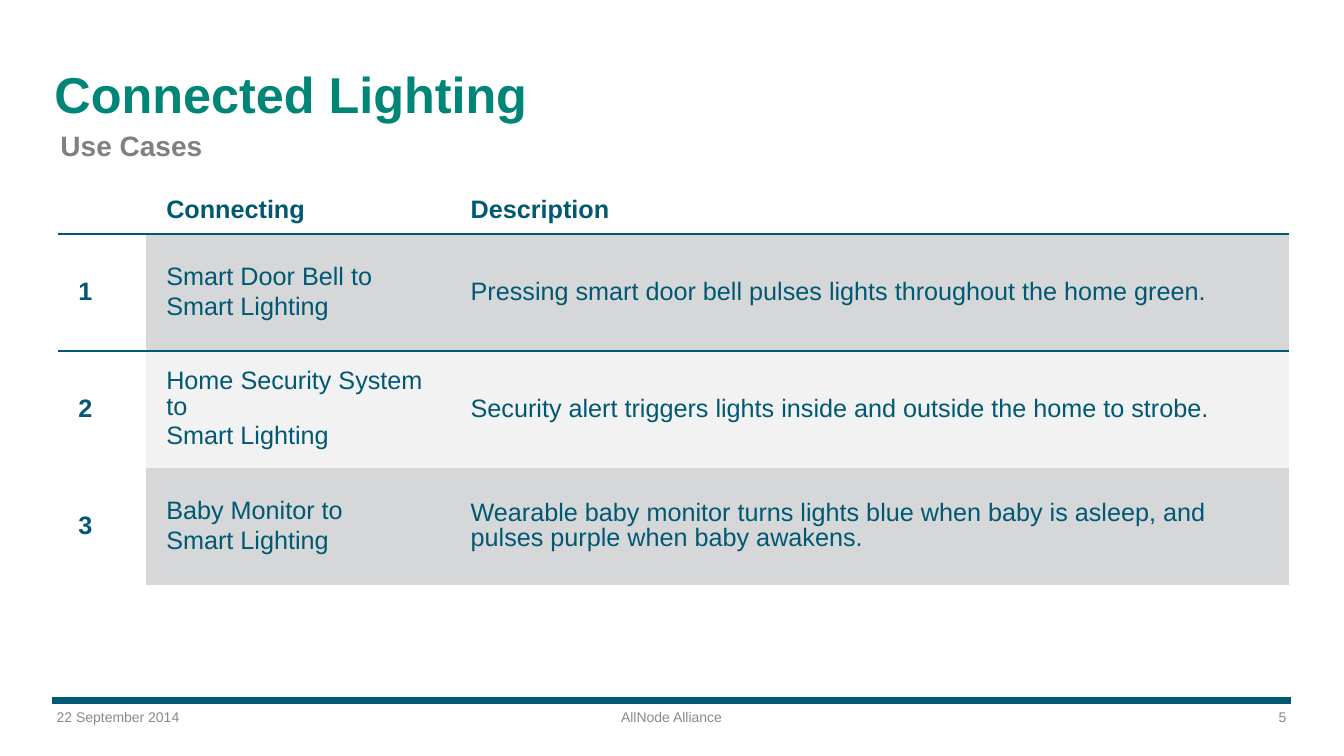
from lxml.etree import SubElement
from pptx import Presentation
from pptx.dml.color import RGBColor as RGB
from pptx.enum.shapes import MSO_CONNECTOR as Connector
from pptx.enum.text import MSO_ANCHOR as Anchor, PP_ALIGN as Align
from pptx.oxml import parse_xml
from pptx.oxml.ns import nsdecls, qn
from pptx.util import Pt

GREEN = RGB(0x00, 0x85, 0x76)
NAVY = RGB(0x00, 0x58, 0x72)
GREY = RGB(0x80, 0x7F, 0x83)
FOOTER_GREY = RGB(0x89, 0x89, 0x89)
DARK_BAND = RGB(0xD6, 0xD7, 0xD8)
LIGHT_BAND = RGB(0xF2, 0xF2, 0xF2)
PLAIN_TABLE = "{2D5ABB26-0587-4C30-8999-92F81FD0307C}"

HEADINGS = ["", "Connecting", "Description"]
USE_CASES = [
    ["1", "Smart Door Bell to\nSmart Lighting",
     "Pressing smart door bell pulses lights throughout the home green."],
    ["2", "Home Security System to\nSmart Lighting",
     "Security alert triggers lights inside and outside the home to strobe."],
    ["3", "Baby Monitor to\nSmart Lighting",
     "Wearable baby monitor turns lights blue when baby is asleep, "
     "and pulses purple when baby awakens."],
]


def apply(target, formats):
    for name, value in formats.items():
        setattr(target, name, value)


def write(frame, wording, size, color, bold=False, **paragraph_format):
    frame.text = wording
    for paragraph in frame.paragraphs:
        apply(paragraph, paragraph_format)
        apply(paragraph.font, {"name": "Arial", "size": Pt(size), "bold": bold})
        paragraph.font.color.rgb = color


def add_label(slide, box, wording, size, color, bold=False,
              anchor=Anchor.TOP, **paragraph_format):
    frame = slide.shapes.add_textbox(*map(Pt, box)).text_frame
    margins = {f"margin_{side}": Pt(3.6) for side in ("left", "top", "right", "bottom")}
    apply(frame, {"word_wrap": True, "vertical_anchor": anchor, **margins})
    write(frame, wording, size, color, bold, **paragraph_format)


def add_heading(slide, left, top, width):
    add_label(slide, (left, top, width, 79.2), "Connected Lighting", 36, GREEN,
              True, Anchor.BOTTOM, line_spacing=0.95)
    add_label(slide, (left + 4.3, top + 74.9, width, 31.7), "Use Cases", 20, GREY, True)


def rule_below(cell):
    cell._tc.get_or_add_tcPr().insert(0, parse_xml(
        f'<a:lnB {nsdecls("a")} w="{Pt(2.25)}"><a:solidFill>'
        f'<a:srgbClr val="{NAVY}"/></a:solidFill></a:lnB>'))


def add_use_cases(slide, left, top, width):
    column_widths = [62.8, 217.4, width - 62.8 - 217.4]
    row_heights = [62] + [83.6] * len(USE_CASES)
    table = slide.shapes.add_table(
        len(row_heights), len(column_widths),
        *map(Pt, (left, top, width, sum(row_heights)))).table
    apply(table, {"first_row": False, "horz_banding": False})
    table._tbl.tblPr.find(qn("a:tableStyleId")).text = PLAIN_TABLE
    for column, column_width in zip(table.columns, column_widths):
        column.width = Pt(column_width)
    for row, row_height in zip(table.rows, row_heights):
        row.height = Pt(row_height)

    for r, wordings in enumerate([HEADINGS] + USE_CASES):
        is_header = r == 0
        spacing = ({"line_spacing": 0.95} if is_header
                   else {"line_spacing": 0.9, "space_after": Pt(3)})
        for c, wording in enumerate(wordings):
            cell = table.cell(r, c)
            apply(cell, {
                "margin_left": Pt(14.4), "margin_right": Pt(14.4),
                "margin_top": Pt(7.2), "margin_bottom": Pt(7.2),
                "vertical_anchor": Anchor.BOTTOM if is_header else Anchor.MIDDLE})
            write(cell.text_frame, wording, 18, NAVY, is_header or c == 0, **spacing)
            if is_header or c == 0:
                cell.fill.background()
            else:
                cell.fill.solid()
                cell.fill.fore_color.rgb = DARK_BAND if r % 2 else LIGHT_BAND
            if r < 2:
                rule_below(cell)


def add_footer(slide, left, top, width):
    bar = slide.shapes.add_connector(
        Connector.STRAIGHT, *map(Pt, (left, top, left + width, top)))
    bar.line.width = Pt(5.5)
    bar.line.color.rgb = NAVY
    SubElement(bar._element.spPr, qn("a:effectLst"))
    part_width = 236.9
    parts = [("22 September 2014", Align.LEFT), ("AllNode Alliance", Align.CENTER),
             ("5", Align.RIGHT)]
    for i, (wording, alignment) in enumerate(parts):
        part_left = left - 0.5 + i * (width + 0.5 - part_width) / 2
        add_label(slide, (part_left, top + 2.2, part_width, 19.4), wording, 10,
                  FOOTER_GREY, alignment=alignment)


def main():
    deck = Presentation()
    apply(deck, {"slide_width": Pt(960), "slide_height": Pt(540)})
    slide = deck.slides.add_slide(deck.slide_layouts[6])
    add_footer(slide, 37.4, 500.4, 885)
    add_heading(slide, 35.3, 13.7, 885)
    add_use_cases(slide, 41.6, 105.2, 879)
    deck.save("out.pptx")


if __name__ == "__main__":
    main()
